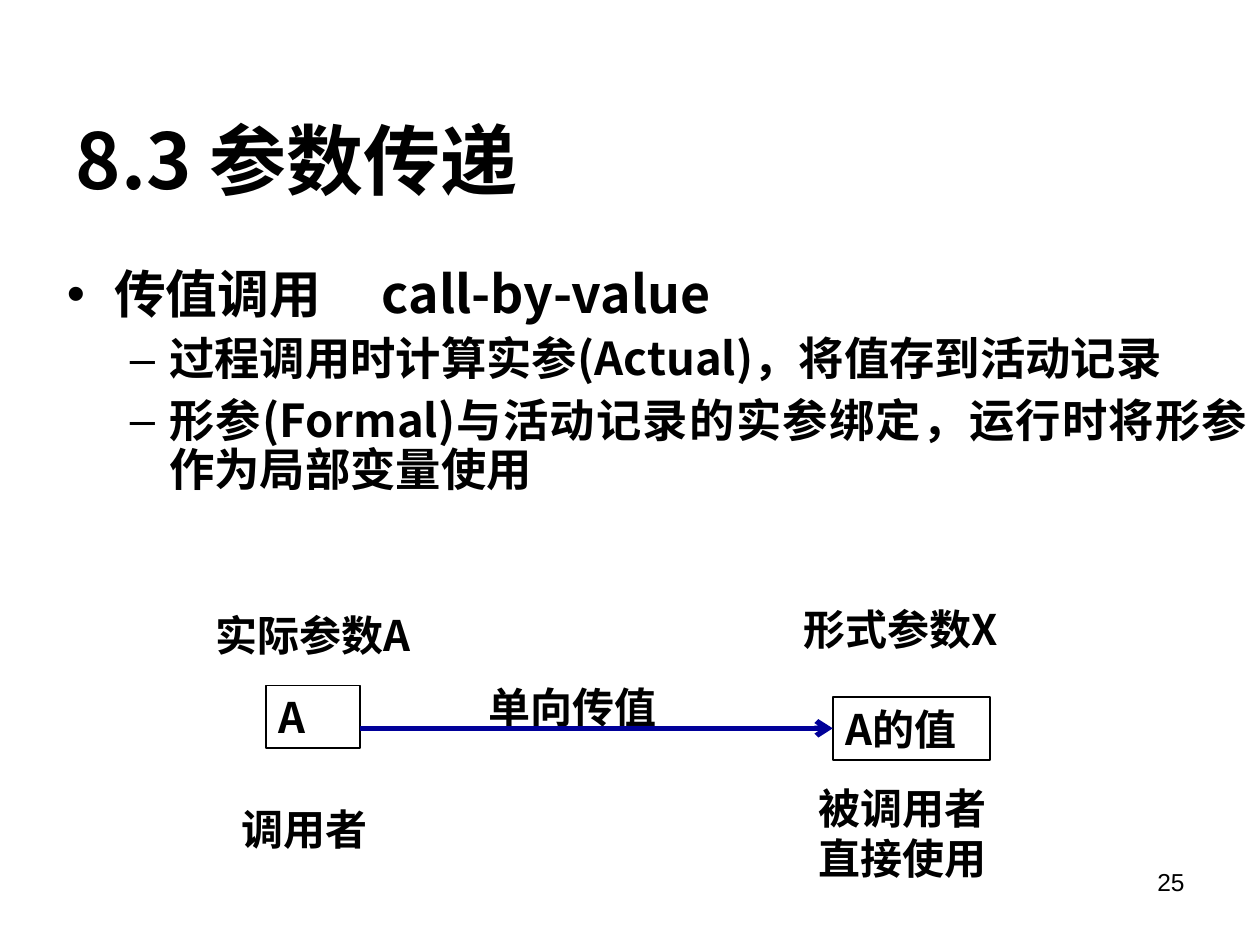
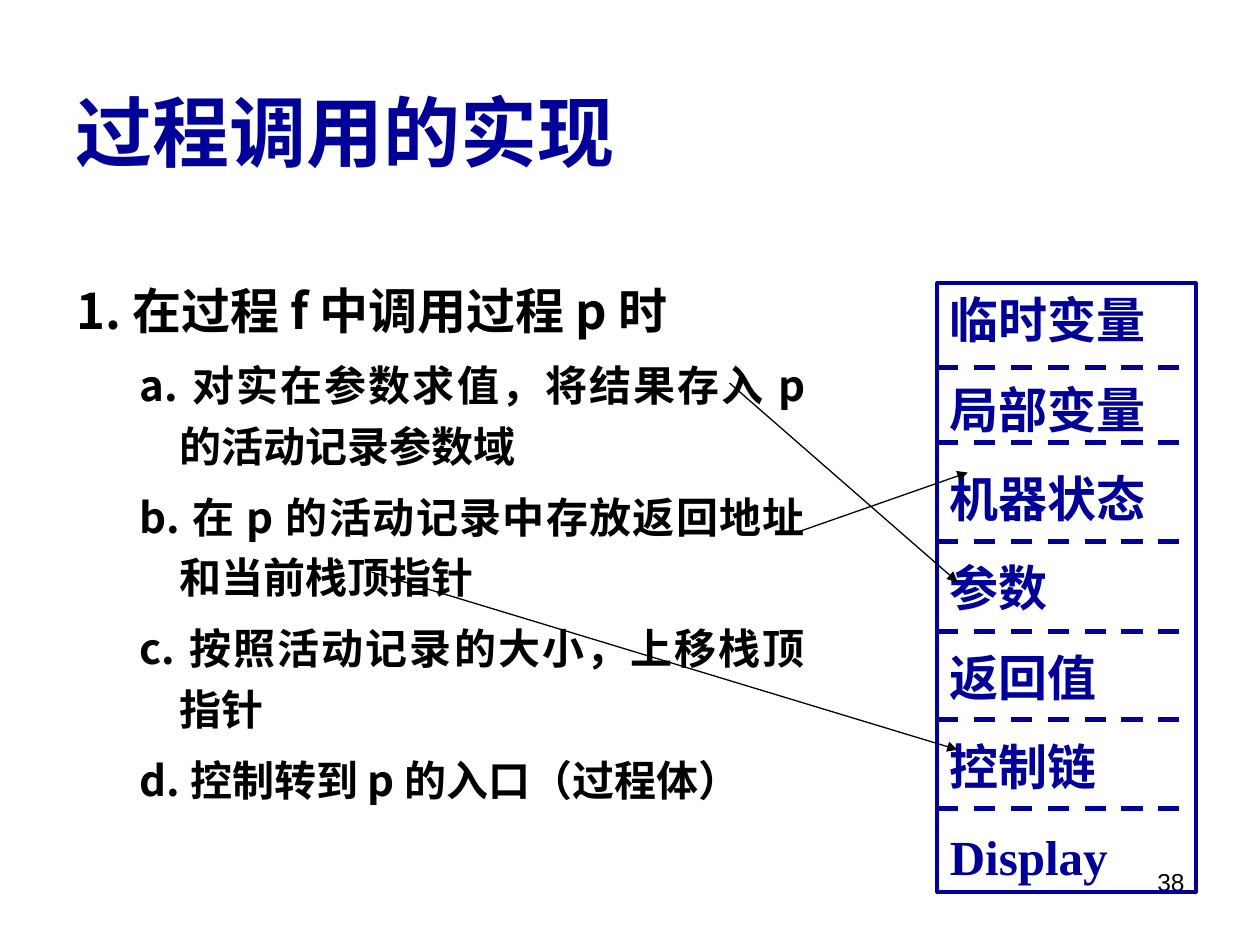
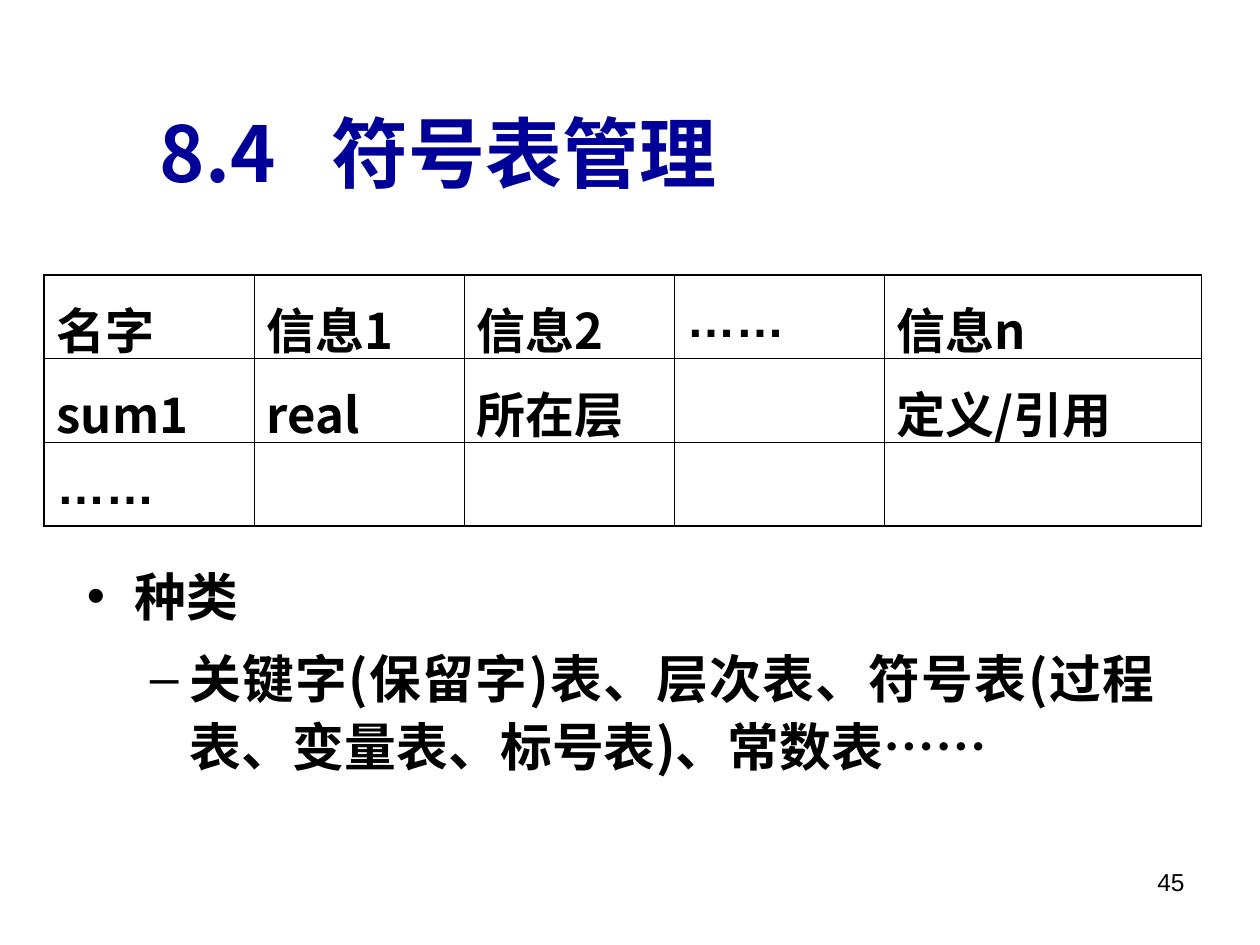
from dataclasses import dataclass

from lxml.etree import SubElement
from pptx import Presentation
from pptx.dml.color import RGBColor
from pptx.enum.dml import MSO_LINE
from pptx.enum.shapes import MSO_CONNECTOR, MSO_SHAPE
from pptx.enum.text import MSO_ANCHOR, MSO_AUTO_SIZE, PP_ALIGN
from pptx.oxml.ns import qn
from pptx.util import Pt


@dataclass(frozen=True)
class Theme:
    black: RGBColor = RGBColor(0x00, 0x00, 0x00)
    blue: RGBColor = RGBColor(0x00, 0x00, 0x99)
    heading_font: str = "Noto Sans CJK JP"
    number_font: str = "Arial"
    record_font: str = "Times New Roman"
    dots_font: str = "Courier New"
    title_size: float = 44
    topic_size: float = 29.6
    detail_size: float = 25.9
    large_size: float = 28
    label_size: float = 24
    number_size: float = 14


THEME = Theme()
INDENTS = ((27, -27), (58.5, -22.5))
BULLETS = "•–"


def set_font(paragraph, size, color=THEME.black, name=THEME.heading_font, bold=True):
    font = paragraph.font
    font.size, font.bold, font.name = Pt(size), bold, name
    font.color.rgb = color
    latin = font._element.find(qn("a:latin"))
    east_asian = latin.makeelement(qn("a:ea"), typeface=THEME.heading_font)
    latin.addnext(east_asian)


def add_tab_stop(paragraph, position):
    stops = SubElement(paragraph._p.get_or_add_pPr(), qn("a:tabLst"))
    SubElement(stops, qn("a:tab"), pos=str(Pt(position)), algn="l")


def set_bullet(paragraph, level, bulleted):
    properties = paragraph._p.get_or_add_pPr()
    margin, indent = INDENTS[level]
    properties.set("marL", str(Pt(margin)))
    properties.set("indent", str(Pt(indent)))
    if bulleted:
        color = SubElement(properties, qn("a:buClr"))
        SubElement(color, qn("a:srgbClr"), val=str(THEME.black))
        SubElement(properties, qn("a:buFont"), typeface=THEME.number_font)
        SubElement(properties, qn("a:buChar"), char=BULLETS[level])
    else:
        SubElement(properties, qn("a:buNone"))


def place(shape, left, top, width, height):
    shape.left, shape.top = Pt(left), Pt(top)
    shape.width, shape.height = Pt(width), Pt(height)


def add_page(deck, number, title, area, color, tab=None):
    """Add a page with its title and its page number; tab is a stop in the title."""
    page = deck.slides.add_slide(deck.slide_layouts[1])
    place(page.shapes.title, *area)
    frame = page.shapes.title.text_frame
    frame.auto_size = MSO_AUTO_SIZE.NONE
    frame.vertical_anchor = MSO_ANCHOR.MIDDLE
    paragraph = frame.paragraphs[0]
    paragraph.text = title
    paragraph.alignment = PP_ALIGN.JUSTIFY
    if tab:
        add_tab_stop(paragraph, tab)
    set_font(paragraph, THEME.title_size, color)

    box = add_label(page, str(number), (516.2, 491.8, 167.8, 37.4),
                    size=THEME.number_size, name=THEME.number_font, bold=False)
    box.text_frame.paragraphs[0].alignment = PP_ALIGN.RIGHT
    return page


def fill_body(page, items, area, sizes, line_spacing, space_before, bulleted=True, tab=None):
    """Fill the body with (level, text) items; tab is a stop in the first one."""
    body = page.placeholders[1]
    place(body, *area)
    frame = body.text_frame
    frame.auto_size = MSO_AUTO_SIZE.NONE
    for index, (level, text) in enumerate(items):
        paragraph = frame.add_paragraph() if index else frame.paragraphs[0]
        paragraph.text = text
        paragraph.level = level
        paragraph.alignment = PP_ALIGN.JUSTIFY
        paragraph.line_spacing = line_spacing
        paragraph.space_before = Pt(space_before if index else 0)
        set_bullet(paragraph, level, bulleted)
        if tab and index == 0:
            add_tab_stop(paragraph, tab)
        set_font(paragraph, sizes[level])
    return frame


def write_lines(frame, lines, size, color, name, bold, space_before=0):
    frame.word_wrap = True
    frame.vertical_anchor = MSO_ANCHOR.TOP
    for index, line in enumerate(lines):
        paragraph = frame.add_paragraph() if index else frame.paragraphs[0]
        paragraph.text = line
        paragraph.alignment = PP_ALIGN.LEFT
        paragraph.space_before = Pt(space_before if index else 0)
        set_font(paragraph, size, color, name, bold)


def add_label(page, text, area, size=THEME.label_size, name=THEME.heading_font, bold=True):
    box = page.shapes.add_textbox(*map(Pt, area))
    write_lines(box.text_frame, [text], size, THEME.black, name, bold)
    return box


def add_frame(page, lines, area, color=THEME.black, line_width=1,
              size=THEME.label_size, name=THEME.heading_font, space_before=0):
    """Add an outlined rectangle holding one paragraph per line."""
    box = page.shapes.add_shape(MSO_SHAPE.RECTANGLE, *map(Pt, area))
    box.shadow.inherit = False
    box.fill.background()
    box.line.color.rgb = color
    box.line.width = Pt(line_width)
    write_lines(box.text_frame, lines, size, color, name, True, space_before)


def add_line(page, start, end, color, width, head=None, dash=None):
    line = page.shapes.add_connector(MSO_CONNECTOR.STRAIGHT, *map(Pt, start + end))
    line.line.color.rgb = color
    line.line.width = Pt(width)
    if dash:
        line.line.dash_style = dash
    if head:
        SubElement(line.line._get_or_add_ln(), qn("a:tailEnd"), type=head)
    SubElement(line._element.spPr, qn("a:effectLst"))


def set_borders(cell, widths):
    """Draw the left, right, top and bottom borders in the given widths."""
    properties = cell._tc.get_or_add_tcPr()
    for position, (side, width) in enumerate(zip("LRTB", widths)):
        border = properties.makeelement(qn(f"a:ln{side}"), w=str(Pt(width)))
        fill = SubElement(border, qn("a:solidFill"))
        SubElement(fill, qn("a:srgbClr"), val=str(THEME.black))
        properties.insert(position, border)


def add_grid(page, rows, left, top, column_widths, row_heights):
    thin, thick = 0.45, 1.08
    last_row, last_column = len(rows) - 1, len(column_widths) - 1
    table = page.shapes.add_table(
        len(rows), len(column_widths), Pt(left), Pt(top),
        Pt(sum(column_widths)), Pt(sum(row_heights))).table
    table.first_row = table.horz_banding = False
    for column, width in zip(table.columns, column_widths):
        column.width = Pt(width)
    for row, height in zip(table.rows, row_heights):
        row.height = Pt(height)
    for r, texts in enumerate(rows):
        for c, text in enumerate(texts):
            cell = table.cell(r, c)
            cell.fill.background()
            edges = (c == 0, c == last_column, r == 0, r == last_row)
            set_borders(cell, [thick if edge else thin for edge in edges])
            if text:
                cell.margin_top = Pt(10.6)
                cell.text = text
                name = THEME.number_font if text == "……" else THEME.heading_font
                set_font(cell.text_frame.paragraphs[0], THEME.large_size, name=name)


def build_call_by_value(deck):
    page = add_page(deck, 25, "8.3 参数传递", (36, 43.2, 460, 95), THEME.black)
    fill_body(page, [
        (0, "传值调用\tcall-by-value"),
        (1, "过程调用时计算实参(Actual)，将值存到活动记录"),
        (1, "形参(Formal)与活动记录的实参绑定，运行时将形参作为局部变量使用"),
    ], (31, 149.8, 689, 176.4), (THEME.topic_size, THEME.detail_size), 0.9, 7, tab=180)

    for text, area in (
        ("调用者", (131, 455.8, 102.2, 36)),
        ("被调用者直接使用", (460.8, 443.5, 120.2, 64.8)),
        ("实际参数A", (115.9, 344.9, 138.2, 36)),
        ("形式参数X", (452.2, 341.3, 138.2, 36)),
        ("单向传值", (272.2, 385.9, 144, 36)),
    ):
        add_label(page, text, area)
    add_frame(page, ["A"], (151.9, 391.7, 54, 36))
    add_frame(page, ["A的值"], (475.9, 398.2, 90, 36))
    add_line(page, (205.9, 416.2), (475.9, 416.2), THEME.blue, 3, head="arrow")


def build_procedure_call(deck):
    page = add_page(deck, 38, "过程调用的实现", (36, 39.6, 646.6, 70.6), THEME.blue)
    fill_body(page, [
        (0, "1. 在过程 f 中调用过程 p 时"),
        (1, "a. 对实在参数求值，将结果存入 p 的活动记录参数域"),
        (1, "b. 在 p 的活动记录中存放返回地址和当前栈顶指针"),
        (1, "c. 按照活动记录的大小，上移栈顶指针"),
        (1, "d. 控制转到 p 的入口（过程体）"),
    ], (36.7, 149.8, 430.6, 354.2), (THEME.large_size, THEME.label_size), 1.2, 6,
        bulleted=False)

    left, width = 535.7, 147.6
    fields = ["临时变量", "局部变量", "机器状态", "参数", "返回值", "控制链", "Display"]
    add_frame(page, fields, (left, 162, width, 347.8), THEME.blue, 2.25,
              THEME.large_size, THEME.record_font, 17.5)
    for y in (210.2, 252.7, 309.6, 360.7, 411.1, 462.2):
        add_line(page, (left, y), (left + width, y), THEME.blue, 3, dash=MSO_LINE.DASH)
    for start, end in (
        ((416.9, 218.9), (547.2, 332.6)),
        ((212.4, 326.9), (547.2, 428.4)),
        ((456.5, 303.8), (553, 270)),
    ):
        add_line(page, start, end, THEME.black, 0.75, head="triangle")


def build_symbol_table(deck):
    page = add_page(deck, 45, "8.4\t符号表管理", (84.2, 41.8, 612, 90), THEME.blue, tab=98)
    frame = fill_body(page, [
        (0, "种类"),
        (1, "关键字(保留字)表、层次表、符号表(过程表、变量表、标号表)、常数表"),
    ], (42.5, 315.4, 624.2, 181.4), (THEME.topic_size, THEME.topic_size), 1.1, 8)
    span = frame.paragraphs[1].add_run()
    span.text = "……"
    span.font.name = THEME.dots_font

    add_grid(page, [
        ["名字", "信息1", "信息2", "……", "信息n"],
        ["sum1", "real", "所在层", "", "定义/引用"],
        ["……", "", "", "", ""],
    ], 25.2, 157, [120] * 4 + [181.4], [43.2, 43.2, 45.4])


def main():
    deck = Presentation()
    deck.slide_width, deck.slide_height = Pt(720), Pt(540)
    build_call_by_value(deck)
    build_procedure_call(deck)
    build_symbol_table(deck)
    deck.save("out.pptx")


if __name__ == "__main__":
    main()
